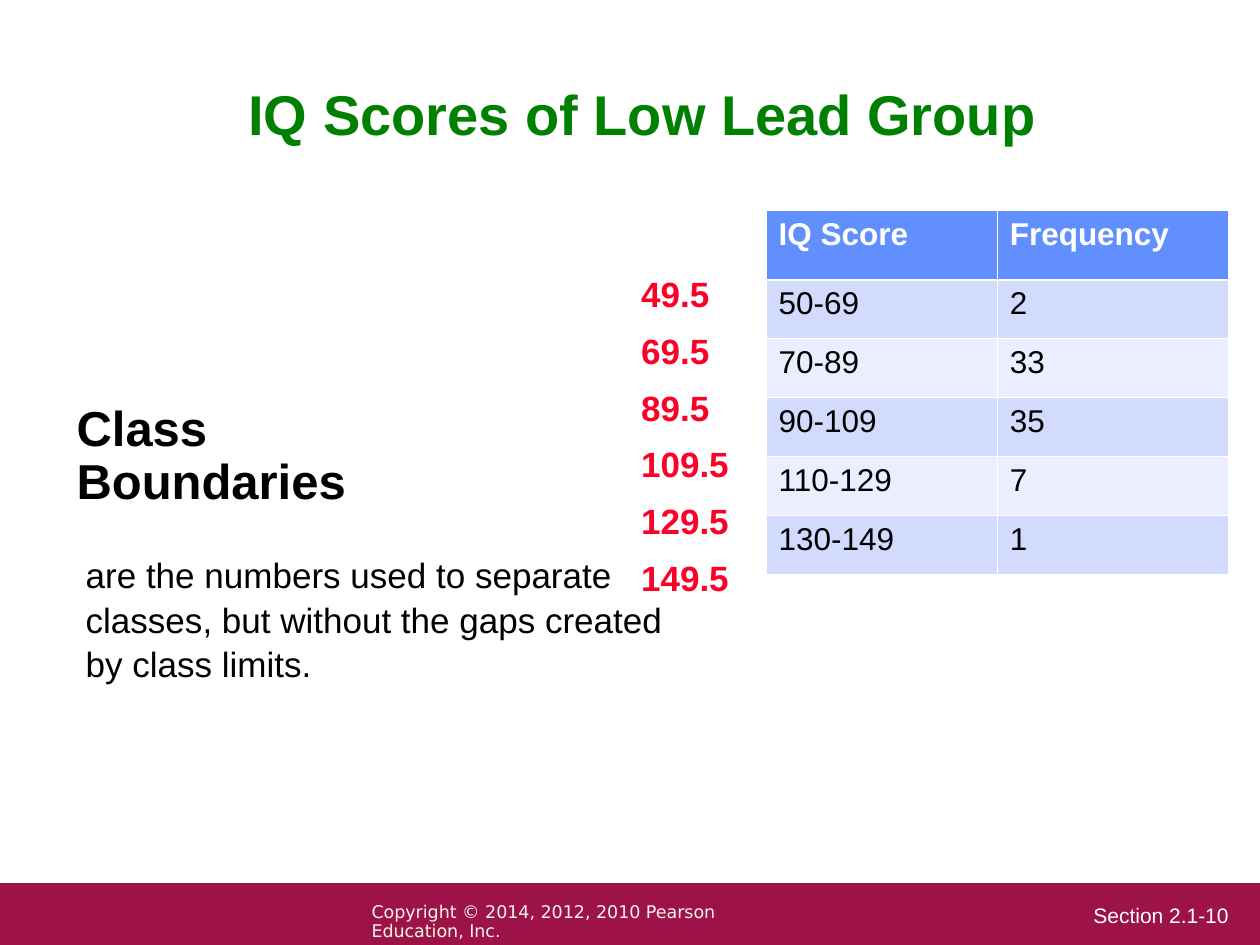
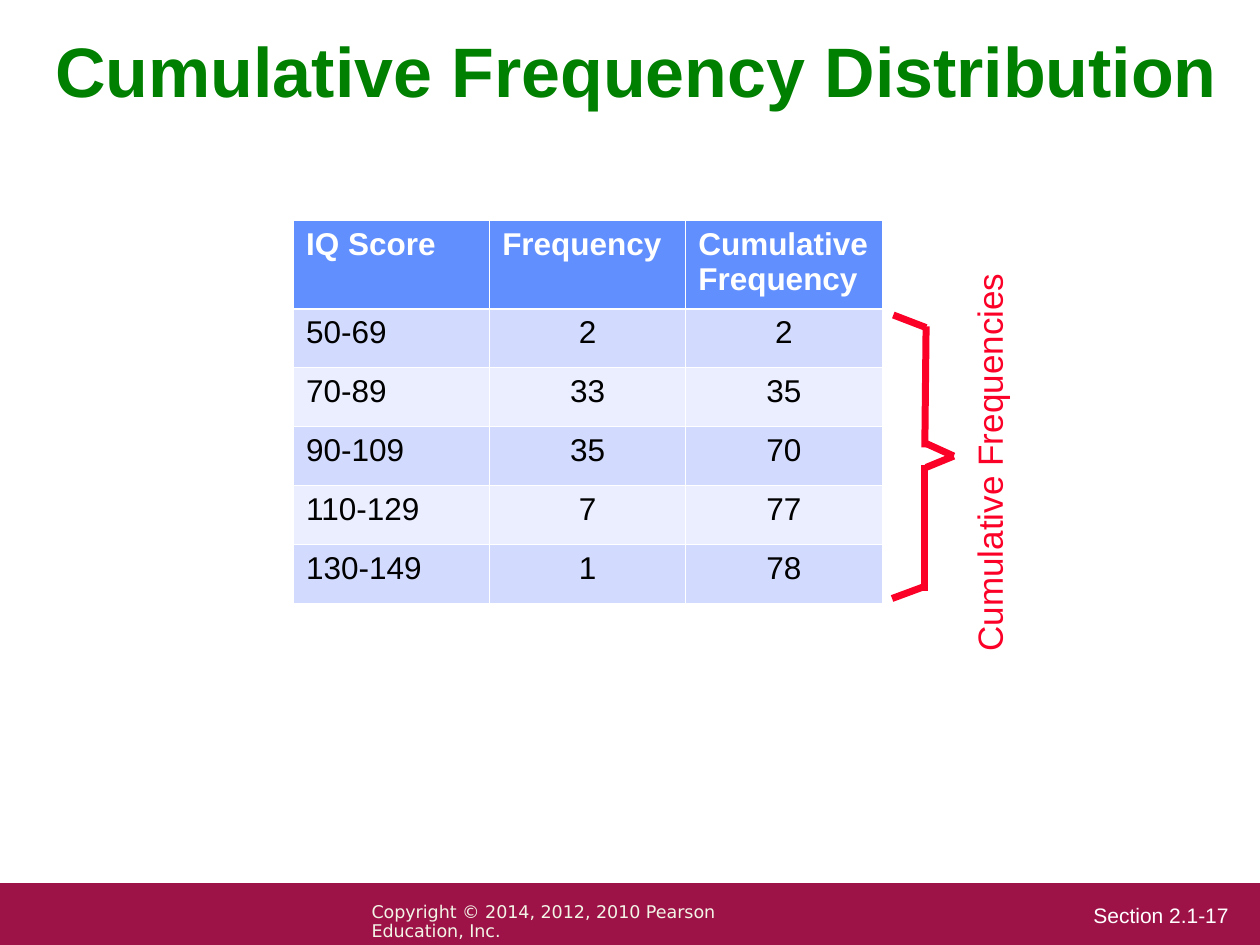
from lxml import etree
from pptx import Presentation
from pptx import util as u
from pptx.dml.color import RGBColor
from pptx.enum import shapes, text
from pptx.oxml.ns import qn

COLUMNS, ROWS = 100, 75
CELL = u.Inches(0.1)

GREEN = RGBColor(0x00, 0x80, 0x00)
RED = RGBColor(0xFC, 0x01, 0x28)
BLACK = RGBColor(0x00, 0x00, 0x00)
WHITE = RGBColor(0xFF, 0xFF, 0xFF)
CRIMSON = RGBColor(0x9D, 0x13, 0x48)
IVORY = RGBColor(0xF3, 0xF5, 0xE7)
HEADER_BLUE = RGBColor(0x61, 0x8F, 0xFD)
ROW_BLUES = (RGBColor(0xD2, 0xDB, 0xFE), RGBColor(0xEA, 0xEE, 0xFF))

LEFT, CENTER = text.PP_ALIGN.LEFT, text.PP_ALIGN.CENTER
TOP, MIDDLE = text.MSO_ANCHOR.TOP, text.MSO_ANCHOR.MIDDLE

COPYRIGHT = "Copyright © 2014, 2012, 2010 Pearson Education, Inc."
SCORES = ("50-69", "70-89", "90-109", "110-129", "130-149")
FREQUENCIES = (2, 33, 35, 7, 1)
CUMULATIVE = (2, 35, 70, 77, 78)
BOUNDARIES = ("49.5", "69.5", "89.5", "109.5", "129.5", "149.5")
BRACE = (
    ((70.9, 25), (73.5, 26)),
    ((73.5, 25.9), (73.4, 35.5)),
    ((73.5, 35.2), (75.7, 36.2)),
    ((75.7, 36.2), (73.5, 37.1)),
    ((73.4, 36.9), (73.4, 46.9)),
    ((73.5, 46.5), (70.8, 47.5)),
)


def grid(*lengths):
    """Turn grid columns or rows into slide lengths."""
    return [u.Emu(round(length * CELL)) for length in lengths]


def add_run(paragraph, words, size, color, bold=False, font="Arial"):
    """Add one formatted run to a paragraph."""
    run = paragraph.add_run()
    run.text = words
    run.font.name = font
    run.font.size = u.Pt(size)
    run.font.bold = bold
    run.font.color.rgb = color


def write(holder, place, lines, size, color, bold=False, font="Arial",
          align=LEFT, anchor=TOP, spacing=0.9):
    """Place a text holder on the grid and write its lines."""
    holder.left, holder.top, holder.width, holder.height = grid(*place)
    frame = holder.text_frame
    frame.auto_size = text.MSO_AUTO_SIZE.NONE
    frame.word_wrap = True
    frame.vertical_anchor = anchor
    for index, line in enumerate(lines):
        paragraph = frame.add_paragraph() if index else frame.paragraphs[0]
        paragraph.alignment = align
        paragraph.line_spacing = spacing
        paragraph.space_before = u.Pt(0)
        add_run(paragraph, line, size, color, bold, font)


def add_text(slide, place, lines, size, color, **style):
    """Add a text box with the given lines."""
    box = slide.shapes.add_textbox(*grid(*place))
    write(box, place, lines, size, color, **style)
    return box


def add_footer(slide, section):
    """Add the crimson band with the section number and copyright line."""
    band = slide.shapes.add_shape(
        shapes.MSO_SHAPE.RECTANGLE, *grid(0, 70.1, COLUMNS, ROWS - 70.1))
    band.shadow.inherit = False
    band.fill.solid()
    band.fill.fore_color.rgb = CRIMSON
    band.line.fill.background()
    add_text(slide, (85.8, 71.4, 14, 2.6), [section], 12, WHITE)
    add_text(slide, (28.5, 71.2, 36.8, 2.5), [COPYRIGHT], 10, IVORY,
             font="DejaVu Sans")


def start_slide(deck, layout, title, place, size, section, **style):
    """Add a slide with its green title and footer."""
    slide = deck.slides.add_slide(deck.slide_layouts[layout])
    write(slide.shapes.title, place, [title], size, GREEN, bold=True, **style)
    add_footer(slide, section)
    return slide


def write_definition(slide, place, words):
    """Write an unbulleted definition in the body placeholder."""
    body = slide.placeholders[1]
    properties = body.text_frame.paragraphs[0]._p.get_or_add_pPr()
    properties.set("marL", "0")
    properties.set("indent", "0")
    etree.SubElement(properties, qn("a:buNone"))
    write(body, place, [words], 20, BLACK, spacing=1.05)


def set_borders(cell, top, bottom):
    """Give a cell white borders with the top and bottom weights in points."""
    properties = cell._tc.get_or_add_tcPr()
    weights = {"L": 0.45, "R": 0.45, "T": top, "B": bottom}
    for index, (side, weight) in enumerate(weights.items()):
        border = etree.Element(qn(f"a:ln{side}"), w=str(u.Pt(weight)))
        fill = etree.SubElement(border, qn("a:solidFill"))
        etree.SubElement(fill, qn("a:srgbClr"), val=str(WHITE))
        properties.insert(index, border)


def add_frequency_table(slide, place, header_height, headings, columns,
                        count_align):
    """Add a table of IQ scores and their counts."""
    records = [headings, *zip(*columns)]
    table = slide.shapes.add_table(
        len(records), len(headings), *grid(*place)).table
    row_height = (place[3] - header_height) / (len(records) - 1)
    for row, record in enumerate(records):
        height = row_height if row else header_height
        table.rows[row].height = grid(height)[0]
        for column, value in enumerate(record):
            cell = table.cell(row, column)
            cell.fill.solid()
            cell.fill.fore_color.rgb = (
                ROW_BLUES[(row - 1) % 2] if row else HEADER_BLUE)
            set_borders(cell, 1.47 if row == 1 else 0.45,
                        0.45 if row else 1.47)
            paragraph = cell.text_frame.paragraphs[0]
            paragraph.alignment = count_align if row and column else LEFT
            add_run(paragraph, str(value), 18, BLACK if row else WHITE,
                    bold=not row)


def add_brace(slide):
    """Draw the red brace beside the cumulative counts."""
    for start, end in BRACE:
        stroke = slide.shapes.add_connector(
            shapes.MSO_CONNECTOR.STRAIGHT, *grid(*start, *end))
        stroke.line.color.rgb = RED
        stroke.line.width = u.Pt(4)
        etree.SubElement(stroke._element.spPr, qn("a:effectLst"))


def build_boundaries(deck):
    """Build the slide on class boundaries."""
    slide = start_slide(deck, 1, "IQ Scores of Low Lead Group",
                        (4, 2.3, 94, 14), 32, "Section 2.1-10",
                        align=CENTER, anchor=MIDDLE)
    add_frequency_table(slide, (60.8, 16.7, 36.7, 28.9), 5.5,
                        ("IQ Score", "Frequency"), (SCORES, FREQUENCIES), LEFT)
    add_text(slide, (5.1, 31.6, 24, 9.4), ["Class", "Boundaries"], 28,
             BLACK, bold=True)
    write_definition(slide, (5.8, 43.3, 50, 11.5),
                     "are the numbers used to separate classes, but without "
                     "the gaps created by class limits.")
    add_text(slide, (49.9, 20, 12.6, 28), BOUNDARIES, 20, RED, bold=True,
             spacing=1.35)


def build_cumulative(deck):
    """Build the slide on the cumulative frequency distribution."""
    slide = start_slide(deck, 5, "Cumulative Frequency Distribution",
                        (3.4, 2.4, 94.4, 7), 40, "Section 2.1-17")
    caption = add_text(slide, (62, 32.2, 35.2, 5.8),
                       ["Cumulative Frequencies"], 20, RED)
    caption.rotation = 270
    add_brace(slide)
    add_frequency_table(slide, (23.3, 17.5, 46.7, 30.4), 7,
                        ("IQ Score", "Frequency", "Cumulative Frequency"),
                        (SCORES, FREQUENCIES, CUMULATIVE), CENTER)


def main():
    """Build and save the deck."""
    deck = Presentation()
    deck.slide_width, deck.slide_height = grid(COLUMNS, ROWS)
    build_boundaries(deck)
    build_cumulative(deck)
    deck.save("out.pptx")


if __name__ == "__main__":
    main()
